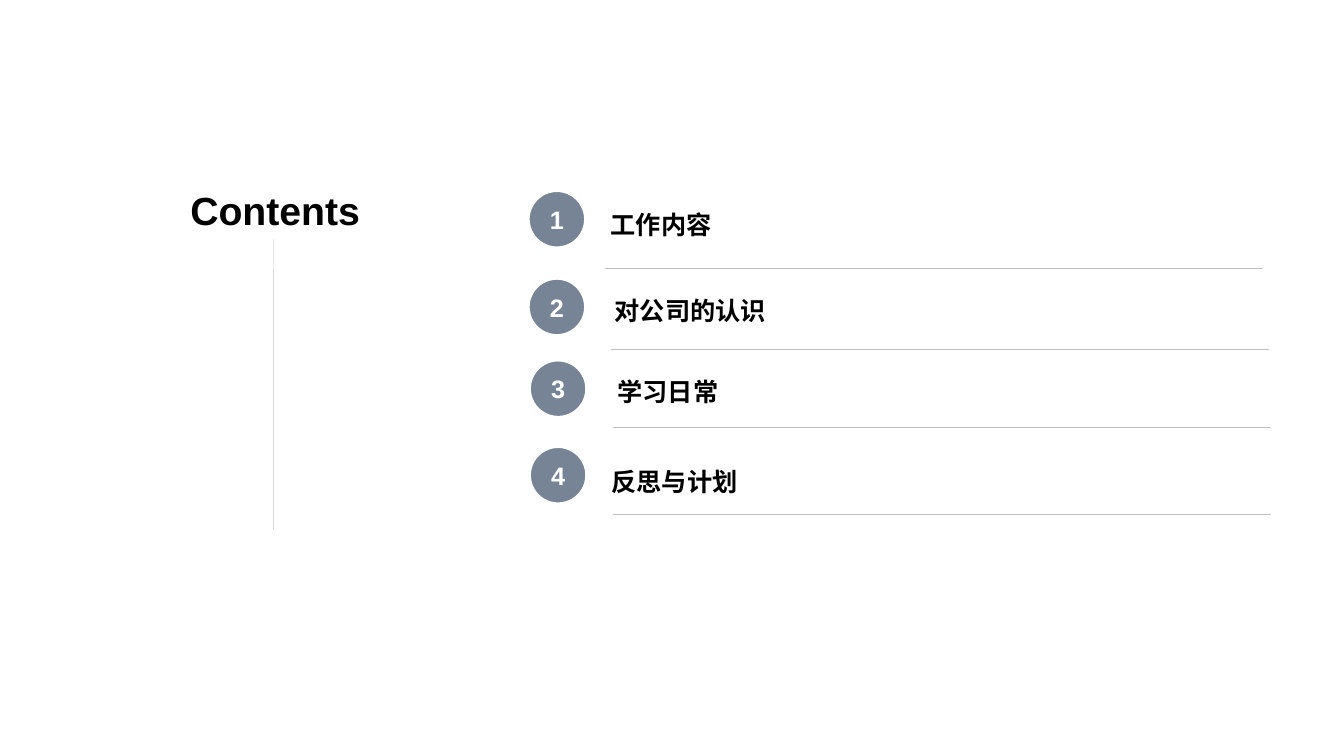
from lxml.etree import SubElement
from pptx import Presentation
from pptx.dml.color import RGBColor
from pptx.enum.shapes import MSO_CONNECTOR, MSO_SHAPE
from pptx.enum.text import MSO_ANCHOR, PP_ALIGN
from pptx.oxml.ns import qn
from pptx.util import Cm, Pt

COLORS = {"badge": "778495", "paper": "FFFFFF", "ink": "000000", "rule": "BFBFBF"}
LATIN, CJK = "Arial", "Noto Sans CJK SC"

TITLE = "Contents"
TITLE_BOX = (4.47, 4.57, 4.85, 1.45)
SPINE_BOTTOM = 13.34
BADGE = 1.45
RULE_WIDTH = 16.6

# Positions in cm: badge (left, top), label (left, top, width, height), rule (left, top)
ITEMS = [
    {"text": "工作内容", "badge": (13.31, 4.8),
     "label": (15.14, 5.08, 16.92, 1.07), "rule": (15.24, 6.76)},
    {"text": "对公司的认识", "badge": (13.31, 7.01),
     "label": (15.24, 7.26, 16.92, 1.07), "rule": (15.39, 8.79)},
    {"text": "学习日常", "badge": (13.34, 9.07), "rounded": True,
     "label": (15.14, 9.35, 16.92, 1.19), "rule": (15.44, 10.77)},
    {"text": "反思与计划", "badge": (13.34, 11.25),
     "label": (15.16, 11.56, 16.2, 1.07), "rule": (15.44, 12.95)},
]


def rgb(name):
    return RGBColor.from_string(COLORS[name])


def add_box(slide, box, preset=None, fill=None):
    """Add a text box, or a preset shape without outline when one is given."""
    box = [Cm(v) for v in box]
    if preset is None:
        return slide.shapes.add_textbox(*box)
    sp = slide.shapes.add_shape(preset, *box)
    sp.shadow.inherit = False
    sp.line.fill.background()
    if fill:
        sp.fill.solid()
        sp.fill.fore_color.rgb = rgb(fill)
    else:
        sp.fill.background()
    return sp


def write(sp, text, anchor, align=PP_ALIGN.LEFT, size=18, color="ink", **frame):
    tf = sp.text_frame
    for name, value in {"word_wrap": True, "vertical_anchor": anchor, **frame}.items():
        setattr(tf, name, value)
    p = tf.paragraphs[0]
    p.alignment = align
    r = p.add_run()
    r.text = text
    for name, value in {"name": LATIN, "size": Pt(size), "bold": True}.items():
        setattr(r.font, name, value)
    r.font.color.rgb = rgb(color)
    SubElement(r.font._element, qn("a:ea"), typeface=CJK)


def add_rule(slide, x1, y1, x2, y2):
    line = slide.shapes.add_connector(
        MSO_CONNECTOR.STRAIGHT, Cm(x1), Cm(y1), Cm(x2), Cm(y2))
    line.line.color.rgb = rgb("rule")
    line.line.width = Pt(0.25)
    SubElement(line.element.spPr, qn("a:effectLst"))
    return line


def add_title(slide):
    """Add the heading and the vertical line that runs down behind it."""
    left, top, width, _ = TITLE_BOX
    title = add_box(slide, TITLE_BOX, MSO_SHAPE.RECTANGLE, "paper")
    write(title, TITLE, MSO_ANCHOR.TOP, PP_ALIGN.RIGHT, 28)
    x = left + width / 2
    spine = add_rule(slide, x, top, x, SPINE_BOTTOM)
    spine.begin_connect(title, 0)
    title.element.addprevious(spine.element)


def add_item(slide, number, item):
    badge = add_box(slide, (*item["badge"], BADGE, BADGE), MSO_SHAPE.OVAL, "badge")
    badge.line.color.rgb = rgb("paper")
    badge.line.width = Pt(2.25)
    margins = {f"margin_{side}": 0 for side in ("left", "right", "top", "bottom")}
    write(badge, str(number), MSO_ANCHOR.MIDDLE, PP_ALIGN.CENTER, color="paper", **margins)

    x, y = item["rule"]
    add_rule(slide, x, y, x + RULE_WIDTH, y)

    rounded = item.get("rounded")
    label = add_box(slide, item["label"], MSO_SHAPE.ROUNDED_RECTANGLE if rounded else None)
    if rounded:
        label.adjustments[0] = 0.5
    write(label, item["text"], MSO_ANCHOR.BOTTOM)


def main():
    prs = Presentation()
    prs.slide_width, prs.slide_height = Cm(33.87), Cm(19.05)
    s = prs.slides.add_slide(prs.slide_layouts[6])
    add_title(s)
    for number, item in enumerate(ITEMS, 1):
        add_item(s, number, item)
    prs.save("out.pptx")


if __name__ == "__main__":
    main()
